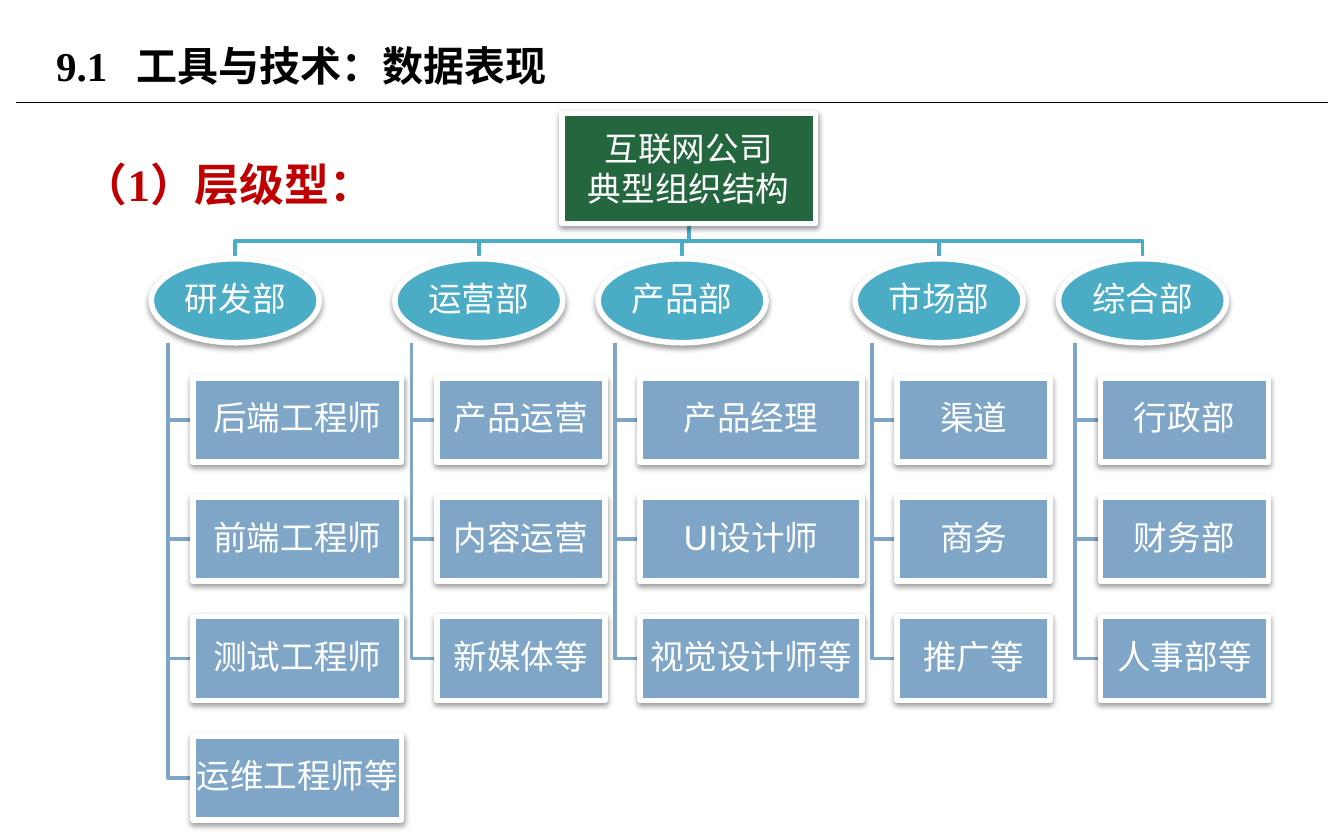
from lxml.etree import SubElement
from pptx import Presentation
from pptx.dml.color import RGBColor
from pptx.enum.shapes import MSO_CONNECTOR as CONN, MSO_SHAPE as SHAPE
from pptx.enum.text import MSO_ANCHOR as ANCHOR, PP_ALIGN as ALIGN
from pptx.oxml.ns import qn
from pptx.util import Inches, Pt

# The slide is a grid of 160 columns by 100 rows
COLS, ROWS = 160, 100
CELL = Inches(10) // COLS

NODE_W, NODE_H, GAP = 20, 10, 4.2
STEM, INDENT = NODE_W / 10, NODE_W / 4
GREEN, TEAL, BLUE, WHITE = "24673E", "4BACC6", "7FA6C7", "FFFFFF"

ROOT = "互联网公司\n典型组织结构"
# Department, width of its roles in columns, roles
DEPARTMENTS = [
    ("研发部", 24.8, ["后端工程师", "前端工程师", "测试工程师", "运维工程师等"]),
    ("运营部", 20, ["产品运营", "内容运营", "新媒体等"]),
    ("产品部", 26.4, ["产品经理", "UI设计师", "视觉设计师等"]),
    ("市场部", 18.2, ["渠道", "商务", "推广等"]),
    ("综合部", 20, ["行政部", "财务部", "人事部等"]),
]


def rgb(value):
    return RGBColor.from_string(value)


def grid(*cells):
    return [round(c * CELL) for c in cells]


def style_text(tf, size, font, color, bold=False, align=None, spacing=None):
    for p in tf.paragraphs:
        p.alignment = align
        p.line_spacing = spacing
        for r in p.runs:
            r.font.size = Pt(size)
            r.font.name = font
            r.font.bold = bold
            r.font.color.rgb = rgb(color)


def add_text(slide, box, text, size, color, anchor, spacing=None):
    tf = slide.shapes.add_textbox(*grid(*box)).text_frame
    tf.word_wrap = True
    tf.vertical_anchor = anchor
    tf.text = text
    style_text(tf, size, "Times New Roman", color, True, spacing=spacing)
    return tf


def add_shadow(sp):
    effects = SubElement(sp._element.spPr, qn("a:effectLst"))
    shadow = SubElement(effects, qn("a:outerShdw"), blurRad=str(Pt(3.1)),
                        dist=str(Pt(1.6)), dir="5400000", rotWithShape="0")
    color = SubElement(shadow, qn("a:srgbClr"), val="000000")
    SubElement(color, qn("a:alpha"), val="38000")


def add_node(slide, box, text, fill, kind=SHAPE.RECTANGLE, spacing=0.9):
    sp = slide.shapes.add_shape(kind, *grid(*box))
    sp.fill.solid()
    sp.fill.fore_color.rgb = rgb(fill)
    sp.line.color.rgb = rgb(WHITE)
    sp.line.width = Pt(3)
    add_shadow(sp)
    tf = sp.text_frame
    tf.word_wrap = True
    tf.vertical_anchor = ANCHOR.MIDDLE
    tf.margin_left = tf.margin_right = Inches(0.01)
    tf.margin_top = tf.margin_bottom = Inches(0.01)
    tf.text = text
    style_text(tf, 18, "Lato", WHITE, align=ALIGN.CENTER, spacing=spacing)


def add_elbow(slide, points, color):
    start, *rest = [grid(*pt) for pt in points]
    builder = slide.shapes.build_freeform(*start)
    builder.add_line_segments(rest, close=False)
    sp = builder.convert_to_shape()
    sp.shadow.inherit = False
    sp.fill.background()
    sp.line.color.rgb = rgb(color)
    sp.line.width = Pt(2)


def add_header(slide, box):
    left, top, width, height = box
    # Thin rule under the title
    y = top + height
    rule = slide.shapes.add_connector(CONN.STRAIGHT,
                                      *grid(left, y, left + width, y))
    rule.line.color.rgb = rgb("000000")
    rule.line.width = Pt(0.75)
    SubElement(rule._element.spPr, qn("a:effectLst"))
    # Title, with a tab stop after its number
    tf = add_text(slide, (left + 3.2, top, 102, 11.4), "9.1\t工具与技术：数据表现",
                  22, "000000", ANCHOR.MIDDLE)
    tabs = SubElement(tf.paragraphs[0]._p.get_or_add_pPr(), qn("a:tabLst"))
    SubElement(tabs, qn("a:tab"), pos=str(Inches(0.6)), algn="l")


def add_org_chart(slide, box):
    left, top, width, root_h = box
    root_w = 30.2
    # Root sits midway between the first and last departments
    steps = [max(w, NODE_W) + GAP for _, w, _ in DEPARTMENTS]
    lefts = [left + sum(steps[:i]) for i in range(len(steps))]
    root_x = (lefts[0] + lefts[-1] + NODE_W) / 2
    root_bottom = top + root_h
    dept_y = root_bottom + GAP
    dept_bottom = dept_y + NODE_H

    def role_y(row):
        return dept_bottom + GAP + row * (NODE_H + GAP)

    # Connectors lie behind all nodes
    for x, (_, _, roles) in zip(lefts, DEPARTMENTS):
        mid_x, mid_y = x + NODE_W / 2, root_bottom + GAP / 2
        add_elbow(slide, [(root_x, root_bottom), (root_x, mid_y),
                          (mid_x, mid_y), (mid_x, dept_y)], TEAL)
        for row in range(len(roles)):
            y = role_y(row) + NODE_H / 2
            add_elbow(slide, [(x + STEM, dept_bottom), (x + STEM, y),
                              (x + INDENT, y)], BLUE)

    # Nodes: root, departments, roles
    add_node(slide, (root_x - root_w / 2, top, root_w, root_h), ROOT, GREEN,
             spacing=None)
    for x, (name, role_w, roles) in zip(lefts, DEPARTMENTS):
        add_node(slide, (x, dept_y, NODE_W, NODE_H), name, TEAL, SHAPE.OVAL)
        for row, role in enumerate(roles):
            add_node(slide, (x + INDENT, role_y(row), role_w, NODE_H), role, BLUE)


def main():
    prs = Presentation()
    prs.slide_width, prs.slide_height = grid(COLS, ROWS)
    slide = prs.slides.add_slide(prs.slide_layouts[6])
    add_header(slide, (1.9, 2.1, 156.2, 10.1))
    add_text(slide, (8.3, 14.7, 143.7, 62.4), "（1）层级型：", 24, "C00000",
             ANCHOR.TOP, spacing=1.5)
    add_org_chart(slide, (18, 13.5, 133, 13.1))
    prs.save("out.pptx")


if __name__ == "__main__":
    main()
